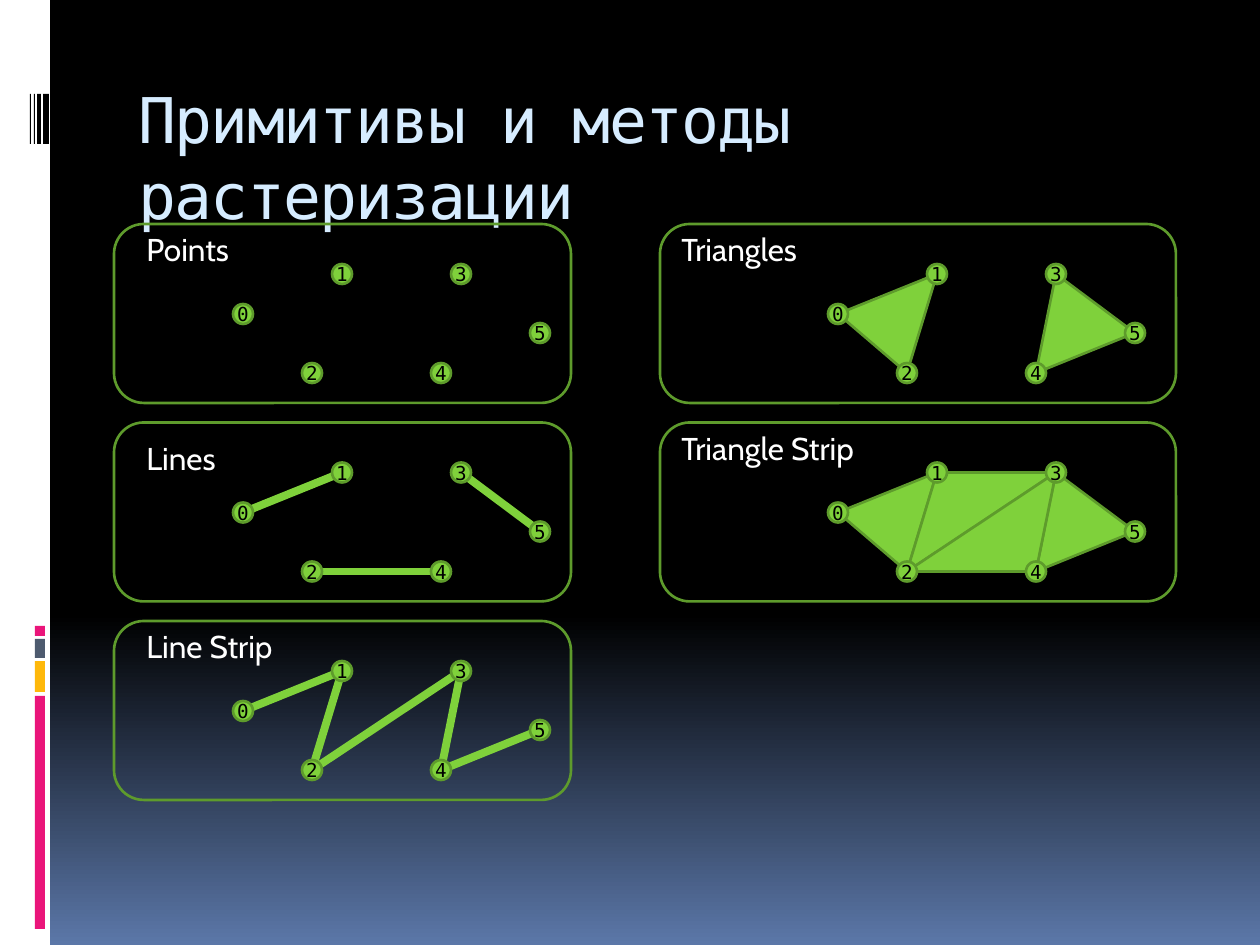
from copy import deepcopy

from lxml.etree import SubElement
from pptx import Presentation
from pptx.dml.color import RGBColor
from pptx.enum.shapes import MSO_CONNECTOR, MSO_SHAPE
from pptx.enum.text import MSO_ANCHOR, MSO_AUTO_SIZE, PP_ALIGN
from pptx.oxml.ns import qn
from pptx.util import Pt

# Content
TITLE = "Примитивы и методы растеризации"
VERTICES = [(129, 90), (228, 50), (198, 149), (347, 50), (327, 149), (426, 109)]
PANELS = [  # label, column, row, label offset, lines, triangles
    ("Points", 0, 0, 0, [], []),
    ("Lines", 0, 1, 10, [(0, 1), (2, 4), (3, 5)], []),
    ("Line Strip", 0, 2, 0, [(0, 1), (1, 2), (2, 3), (3, 4), (4, 5)], []),
    ("Triangles", 1, 0, 0, [], [(0, 1, 2), (4, 3, 5)]),
    ("Triangle Strip", 1, 1, 0, [],
     [(0, 1, 2), (4, 3, 5), (1, 3, 2), (2, 3, 4)]),
]
COLUMNS = [  # panel left and width, label left and width, vertex origin
    {"left": 114, "width": 457, "label": 134, "label_width": 159, "origin": 114},
    {"left": 660, "width": 516, "label": 669, "label_width": 218, "origin": 709},
]
COLORS = {
    "black": "000000", "white": "FFFFFF", "blue": "5B77A8", "title": "D6ECFF",
    "green": "7FD13B", "outline": "5E9B2C", "pink": "EA157A",
    "amber": "FEB80A", "slate": "4E5B6F",
}
SIDEBAR = [  # left, top, width, height, colour
    (0, 0, 50, 945, "white"),
    (35, 696, 10, 233, "pink"),
    (35, 661, 10, 31, "amber"),
    (35, 639, 10, 19, "slate"),
    (35, 626, 10, 10, "pink"),
] + [(left, 94, width, 50, "black")
     for left, width in [(43, 6), (37, 4), (34, 1), (30, 1)]]
MONO, SANS = "DejaVu Sans Mono", "Cabin"
ROW_TOP, ROW_PITCH, PANEL_HEIGHT, MARKER = 224, 198.5, 179, 20


def px(value):
    return round(value * 914400 / 126)


def color(name):
    return RGBColor.from_string(COLORS[name])


def apply(target, values):
    for name, value in values.items():
        setattr(target, name, value)


def paint(shape, fill=None, line=None):
    shape.shadow.inherit = False
    if fill:
        shape.fill.solid()
        shape.fill.fore_color.rgb = color(fill)
    else:
        shape.fill.background()
    if line:
        shape.line.color.rgb = color(line)
        shape.line.width = Pt(1.5)
    else:
        shape.line.fill.background()


def add_box(kind, left, top, width, height, fill=None, line=None):
    shape = slide.shapes.add_shape(kind, px(left), px(top), px(width), px(height))
    paint(shape, fill, line)
    return shape


def write(shape, text, font, size, ink, **frame_values):
    frame = shape.text_frame
    apply(frame, frame_values)
    paragraph = frame.paragraphs[0]
    run = paragraph.add_run()
    run.text = text
    apply(run.font, {"name": font, "size": Pt(size)})
    run.font.color.rgb = color(ink)
    return paragraph, run


def add_line(start, end):
    connector = slide.shapes.add_connector(
        MSO_CONNECTOR.STRAIGHT, *[px(value) for value in (*start, *end)])
    connector.line.color.rgb = color("green")
    connector.line.width = Pt(4.5)
    SubElement(connector._element.spPr, qn("a:effectLst"))


def add_triangle(corners):
    points = [(px(x), px(y)) for x, y in corners]
    builder = slide.shapes.build_freeform(*points[0])
    builder.add_line_segments(points[1:], close=True)
    paint(builder.convert_to_shape(), "green", "outline")


def add_marker(number, x, y):
    marker = add_box(MSO_SHAPE.OVAL, x - MARKER / 2, y - MARKER / 2,
                     MARKER, MARKER, "green", "outline")
    paragraph, _ = write(marker, str(number), MONO, 11, "black", word_wrap=False,
                         vertical_anchor=MSO_ANCHOR.MIDDLE, margin_left=0,
                         margin_right=0, margin_top=0, margin_bottom=0)
    paragraph.alignment = PP_ALIGN.CENTER


presentation = Presentation()
apply(presentation, {"slide_width": px(1260), "slide_height": px(945)})
slide = presentation.slides.add_slide(presentation.slide_layouts[5])

# Background: black down to 65 %, then fading to blue
background = slide.background.fill
background.gradient()
background.gradient_angle = 270
for stop, (position, name) in zip(background.gradient_stops,
                                  [(0.65, "black"), (1, "blue")]):
    stop.position = position
    stop.color.rgb = color(name)
stop_list = slide.element.find(".//" + qn("a:gsLst"))
first_stop = deepcopy(stop_list[0])
first_stop.set("pos", "0")
stop_list.insert(0, first_stop)

# Sidebar
for left, top, width, height, name in SIDEBAR:
    add_box(MSO_SHAPE.RECTANGLE, left, top, width, height, name)

# Title
title = slide.shapes.title
apply(title, {"left": px(126), "top": px(71), "width": px(1071), "height": px(126)})
paragraph, run = write(title, TITLE, MONO, 36, "title", word_wrap=True,
                       auto_size=MSO_AUTO_SIZE.NONE, margin_top=px(9),
                       vertical_anchor=MSO_ANCHOR.TOP)
apply(paragraph, {"alignment": PP_ALIGN.LEFT, "line_spacing": Pt(43.5)})
run.font._element.set("spc", "-100")

# Panels
for label, column, row, label_offset, lines, triangles in PANELS:
    place = COLUMNS[column]
    top = ROW_TOP + row * ROW_PITCH
    vertices = [(place["origin"] + x, top + y) for x, y in VERTICES]
    add_box(MSO_SHAPE.ROUNDED_RECTANGLE, place["left"], top, place["width"],
            PANEL_HEIGHT, line="outline")
    for start, end in lines:
        add_line(vertices[start], vertices[end])
    for corners in triangles:
        add_triangle([vertices[corner] for corner in corners])
    for number, (x, y) in enumerate(vertices):
        add_marker(number, x, y)
    box = slide.shapes.add_textbox(px(place["label"]), px(top + label_offset),
                                   px(place["label_width"]), px(50))
    write(box, label, SANS, 18, "white", word_wrap=True,
          auto_size=MSO_AUTO_SIZE.SHAPE_TO_FIT_TEXT)

presentation.save("out.pptx")
